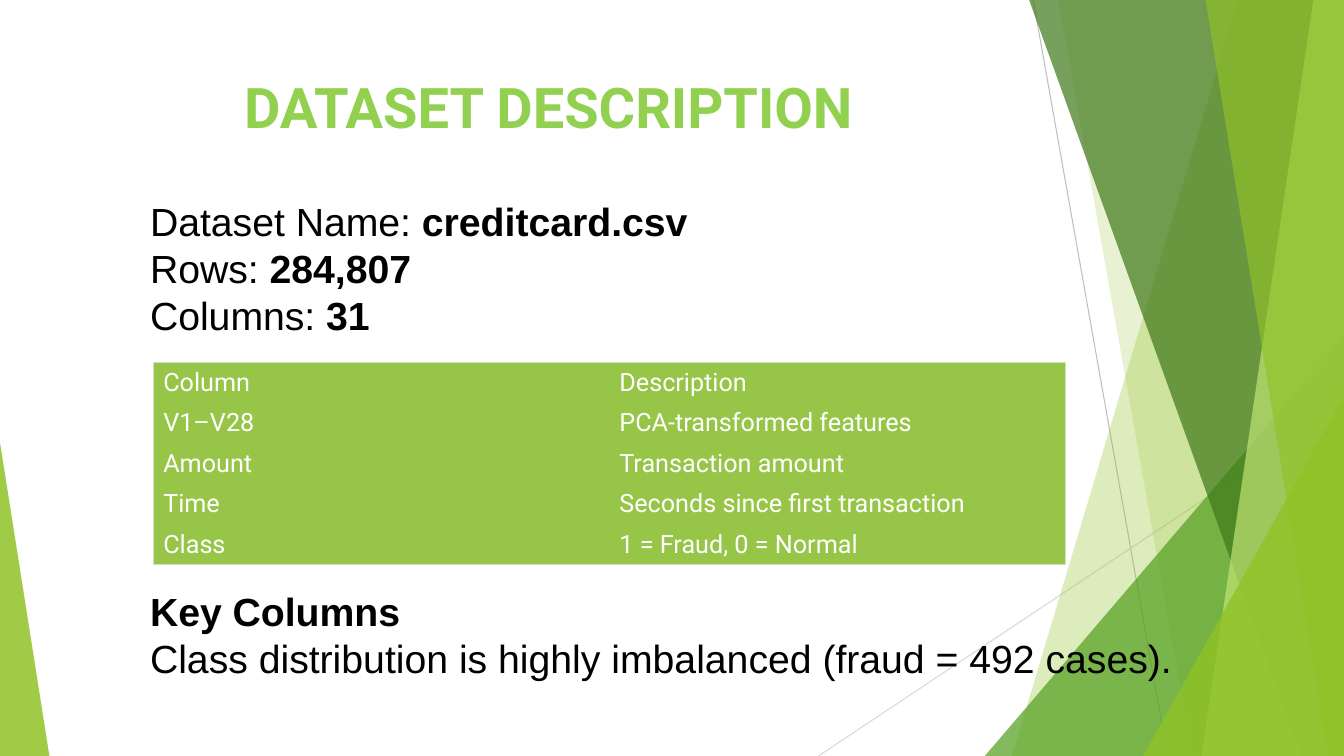
from dataclasses import dataclass

from lxml import etree
from pptx import Presentation
from pptx.dml.color import RGBColor
from pptx.enum.shapes import MSO_CONNECTOR, MSO_SHAPE
from pptx.enum.text import MSO_ANCHOR as Anchor, PP_ALIGN as Align
from pptx.oxml.ns import qn
from pptx.util import Emu, Inches, Pt

# Grid of square cells: 80 columns by 45 rows
COLUMNS, ROWS = 80, 45
CELL = Inches(1) / 6

LIME = RGBColor(0x90, 0xC2, 0x26)
GREEN = RGBColor(0x54, 0xA0, 0x21)
FOREST = RGBColor(0x3F, 0x78, 0x19)
PALE_LIME = RGBColor(0xC0, 0xE4, 0x74)
TITLE_GREEN = RGBColor(0x92, 0xD0, 0x50)
TABLE_GREEN = RGBColor(0x97, 0xC5, 0x47)
TABLE_EDGE = RGBColor(0xD1, 0xE3, 0xBE)
GRAY = RGBColor(0xBF, 0xBF, 0xBF)
LIGHT_GRAY = RGBColor(0xD9, 0xD9, 0xD9)
BLACK = RGBColor(0, 0, 0)
WHITE = RGBColor(0xFF, 0xFF, 0xFF)


@dataclass(frozen=True)
class Box:
    left: float
    top: float
    width: float
    height: float

    def lengths(self) -> list[Emu]:
        return [grid(n) for n in (self.left, self.top, self.width, self.height)]


@dataclass(frozen=True)
class Ray:
    start: tuple[float, float]
    end: tuple[float, float]
    color: RGBColor


@dataclass(frozen=True)
class Facet:
    """A full-height band from a slanted left edge to the right slide edge."""
    top_column: float
    bottom_column: float
    color: RGBColor
    opacity: int


@dataclass(frozen=True)
class Wedge:
    box: Box
    apex: float
    color: RGBColor
    opacity: int


RAYS = [
    Ray((61.5, 0), (69.5, ROWS), GRAY),
    Ray((COLUMNS, 24.18), (48.72, ROWS), LIGHT_GRAY),
]
BACKDROP = [
    Facet(73.68, 60.24, LIME, 30),
    Facet(63, 70.98, LIME, 20),
    Wedge(Box(58.62, 20, 21.38, 25), 1, GREEN, 72),
    Facet(61.26, 77.46, FOREST, 70),
    Facet(78.18, 71.52, PALE_LIME, 70),
    Facet(71.76, 79.08, LIME, 65),
    Wedge(Box(68.04, 23.58, 11.96, 21.42), 1, LIME, 80),
    Wedge(Box(0, 26.34, 2.94, 18.66), 0, LIME, 85),
]
TABLE_BOX = Box(9.12, 21.6, 54.3, 11.85)
TABLE_ROWS = [
    ("Column", "Description"),
    ("V1–V28", "PCA-transformed features"),
    ("Amount", "Transaction amount"),
    ("Time", "Seconds since first transaction"),
    ("Class", "1 = Fraud, 0 = Normal"),
]
# Each line is a list of (text, bold) runs
FACTS = [
    [("Dataset Name: ", False), ("creditcard.csv", True)],
    [("Rows: ", False), ("284,807", True)],
    [("Columns: ", False), ("31", True)],
]
KEY_COLUMNS = [
    [("Key Columns", True)],
    [("Class distribution is highly imbalanced (fraud = 492 cases).", False)],
]


def grid(cells: float) -> Emu:
    return Emu(round(cells * CELL))


def write(frame, lines, *, size: float, font: str, color: RGBColor,
          align=Align.LEFT, anchor=Anchor.TOP) -> None:
    frame.word_wrap = True
    frame.vertical_anchor = anchor
    for index, runs in enumerate(lines):
        paragraph = frame.paragraphs[0] if index == 0 else frame.add_paragraph()
        paragraph.alignment = align
        for text, bold in runs:
            run = paragraph.add_run()
            run.text = text
            run.font.size, run.font.name, run.font.bold = Pt(size), font, bold
            run.font.color.rgb = color


def draw_ray(slide, ray: Ray) -> None:
    ends = [grid(n) for n in (*ray.start, *ray.end)]
    connector = slide.shapes.add_connector(MSO_CONNECTOR.STRAIGHT, *ends)
    connector.line.color.rgb = ray.color
    connector.line.width = Pt(0.75)
    etree.SubElement(connector._element.spPr, qn("a:effectLst"))


def draw_backdrop(slide, part: Facet | Wedge) -> None:
    if isinstance(part, Facet):
        builder = slide.shapes.build_freeform(grid(part.top_column), 0)
        corners = [(COLUMNS, 0), (COLUMNS, ROWS), (part.bottom_column, ROWS)]
        builder.add_line_segments([(grid(x), grid(y)) for x, y in corners])
        shape = builder.convert_to_shape()
    else:
        shape = slide.shapes.add_shape(MSO_SHAPE.ISOSCELES_TRIANGLE, *part.box.lengths())
        shape.adjustments[0] = part.apex
    shape.shadow.inherit = False
    shape.line.fill.background()
    shape.fill.solid()
    shape.fill.fore_color.rgb = part.color
    color = shape._element.spPr.find(f"{qn('a:solidFill')}/{qn('a:srgbClr')}")
    etree.SubElement(color, qn("a:alpha"), val=str(part.opacity * 1000))


def draw_text(slide, box: Box, lines, **text_format):
    frame = slide.shapes.add_textbox(*box.lengths()).text_frame
    write(frame, lines, **text_format)
    return frame


def set_borders(cell, sides: dict[str, bool]) -> None:
    properties = cell._tc.get_or_add_tcPr()
    for index, (side, visible) in enumerate(sides.items()):
        line = etree.Element(qn(f"a:ln{side}"), w=str(Pt(1)))
        if visible:
            fill = etree.SubElement(line, qn("a:solidFill"))
            etree.SubElement(fill, qn("a:srgbClr"), val=str(TABLE_EDGE))
        else:
            etree.SubElement(line, qn("a:noFill"))
        properties.insert(index, line)


def draw_table(slide) -> None:
    row_count, column_count = len(TABLE_ROWS), len(TABLE_ROWS[0])
    table = slide.shapes.add_table(row_count, column_count, *TABLE_BOX.lengths()).table
    for r, row in enumerate(TABLE_ROWS):
        for c, text in enumerate(row):
            cell = table.cell(r, c)
            cell.fill.solid()
            cell.fill.fore_color.rgb = TABLE_GREEN
            write(cell.text_frame, [[(text, False)]], size=18, font="Roboto", color=WHITE)
            cell.vertical_anchor = Anchor.MIDDLE
            set_borders(cell, {"L": c == 0, "R": c == column_count - 1,
                               "T": r == 0, "B": r == row_count - 1})


def main() -> None:
    presentation = Presentation()
    presentation.slide_width, presentation.slide_height = grid(COLUMNS), grid(ROWS)
    slide = presentation.slides.add_slide(presentation.slide_layouts[6])

    # Decorative backdrop
    for ray in RAYS:
        draw_ray(slide, ray)
    for part in BACKDROP:
        draw_backdrop(slide, part)

    # Title
    draw_text(slide, Box(4.44, 4.02, 56.4, 8.64), [[("DATASET DESCRIPTION", True)]],
              size=40, font="Roboto", color=TITLE_GREEN, align=Align.CENTER)

    # Column table
    draw_table(slide)

    # Dataset facts and closing remark
    body = {"size": 28, "font": "Arial", "color": BLACK}
    facts = draw_text(slide, Box(8.34, 11.34, 33.6, 10.92), FACTS,
                      anchor=Anchor.MIDDLE, **body)
    facts.margin_bottom = grid(2)
    draw_text(slide, Box(8.34, 34.68, 62.64, 6.24), KEY_COLUMNS, **body)

    presentation.save("out.pptx")


if __name__ == "__main__":
    main()
